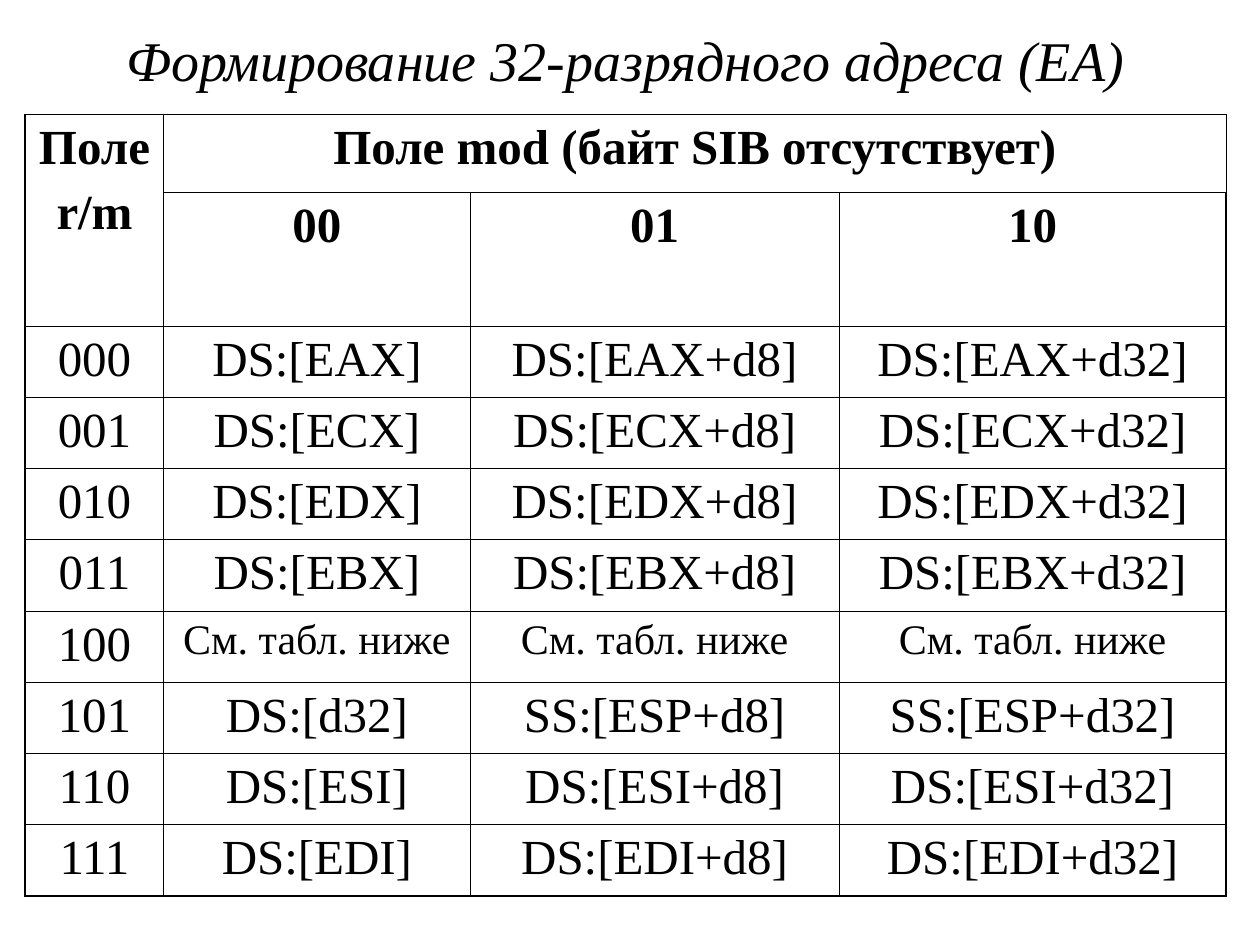
from dataclasses import dataclass

from pptx import Presentation
from pptx.dml.color import RGBColor as Rgb
from pptx.enum.text import MSO_ANCHOR as Anchor, MSO_AUTO_SIZE as Fit, PP_ALIGN as Align
from pptx.oxml import parse_xml
from pptx.oxml.ns import nsdecls
from pptx.util import Pt

SCALE = 4572


@dataclass(frozen=True)
class Theme:
    ink: str = "000000"
    font: str = "Times New Roman"
    title: int = 32
    body: int = 28
    note: int = 24
    gap: int = 6
    thin: float = 0.45
    thick: float = 1.08


THEME = Theme()
NOTE = "См. табл. ниже"
HEAD = "Поле mod (байт SIB отсутствует)"
BASES = ["DS:[EAX", "DS:[ECX", "DS:[EDX", "DS:[EBX", None, "SS:[ESP", "DS:[ESI", "DS:[EDI"]
COLS = [220, 486, 586, 614]
ROWS = [124, 212] + [113] * len(BASES)


def px(num):
    return num * SCALE


def style(para, **form):
    para.alignment = Align.CENTER
    para.font.color.rgb = Rgb.from_string(THEME.ink)
    for key, val in {"name": THEME.font, **form}.items():
        setattr(para.font, key, val)


def edge(cell, side, width):
    line = parse_xml(
        f'<a:ln{side} {nsdecls("a")} w="{Pt(width)}"><a:solidFill>'
        f'<a:srgbClr val="{THEME.ink}"/></a:solidFill></a:ln{side}>'
    )
    cell._tc.get_or_add_tcPr().append(line)


def frame(cell, row, col):
    outer = {
        "L": col == 0,
        "R": col == len(COLS) - 1,
        "T": row == 0,
        "B": row == len(ROWS) - 1,
    }
    for side, thick in outer.items():
        edge(cell, side, THEME.thick if thick else THEME.thin)
    cell.fill.background()


def write(cell, text, bold):
    cell.text = text
    size = THEME.note if text == NOTE else THEME.body
    for num, para in enumerate(cell.text_frame.paragraphs):
        style(para, size=Pt(size), bold=bold)
        if num:
            para.space_before = Pt(THEME.gap)


def entry(num, base):
    if base is None:
        cells = [NOTE] * 3
    else:
        first = "DS:[d32]" if base == "SS:[ESP" else f"{base}]"
        cells = [first, f"{base}+d8]", f"{base}+d32]"]
    return [f"{num:03b}", *cells]


def title(slide, box):
    shape = slide.shapes.title
    for key, val in zip(("left", "top", "width", "height"), box):
        setattr(shape, key, px(val))
    text = shape.text_frame
    text.text = "Формирование 32-разрядного адреса (ЕА)"
    form = {"word_wrap": True, "auto_size": Fit.NONE, "vertical_anchor": Anchor.MIDDLE}
    for key, val in form.items():
        setattr(text, key, val)
    style(text.paragraphs[0], size=Pt(THEME.title), italic=True)


def grid(slide, left, top):
    box = map(px, (left, top, sum(COLS), sum(ROWS)))
    table = slide.shapes.add_table(len(ROWS), len(COLS), *box).table
    for key in ("first_row", "horz_banding"):
        setattr(table, key, False)
    for col, width in zip(table.columns, COLS):
        col.width = px(width)
    for row, height in zip(table.rows, ROWS):
        row.height = px(height)
    table.cell(0, 0).merge(table.cell(1, 0))
    table.cell(0, 1).merge(table.cell(0, 3))
    data = [["Поле\nr/m", HEAD, "", ""], ["", "00", "01", "10"]]
    data += [entry(num, base) for num, base in enumerate(BASES)]
    for row, line in enumerate(data):
        for col, text in enumerate(line):
            cell = table.cell(row, col)
            frame(cell, row, col)
            if not cell.is_spanned:
                write(cell, text, row < 2)


def main():
    deck = Presentation()
    deck.slide_width, deck.slide_height = px(2000), px(1500)
    slide = deck.slides.add_slide(deck.slide_layouts[5])
    title(slide, (40, 18, sum(COLS), 150))
    grid(slide, 40, 182)
    deck.save("out.pptx")


if __name__ == "__main__":
    main()
